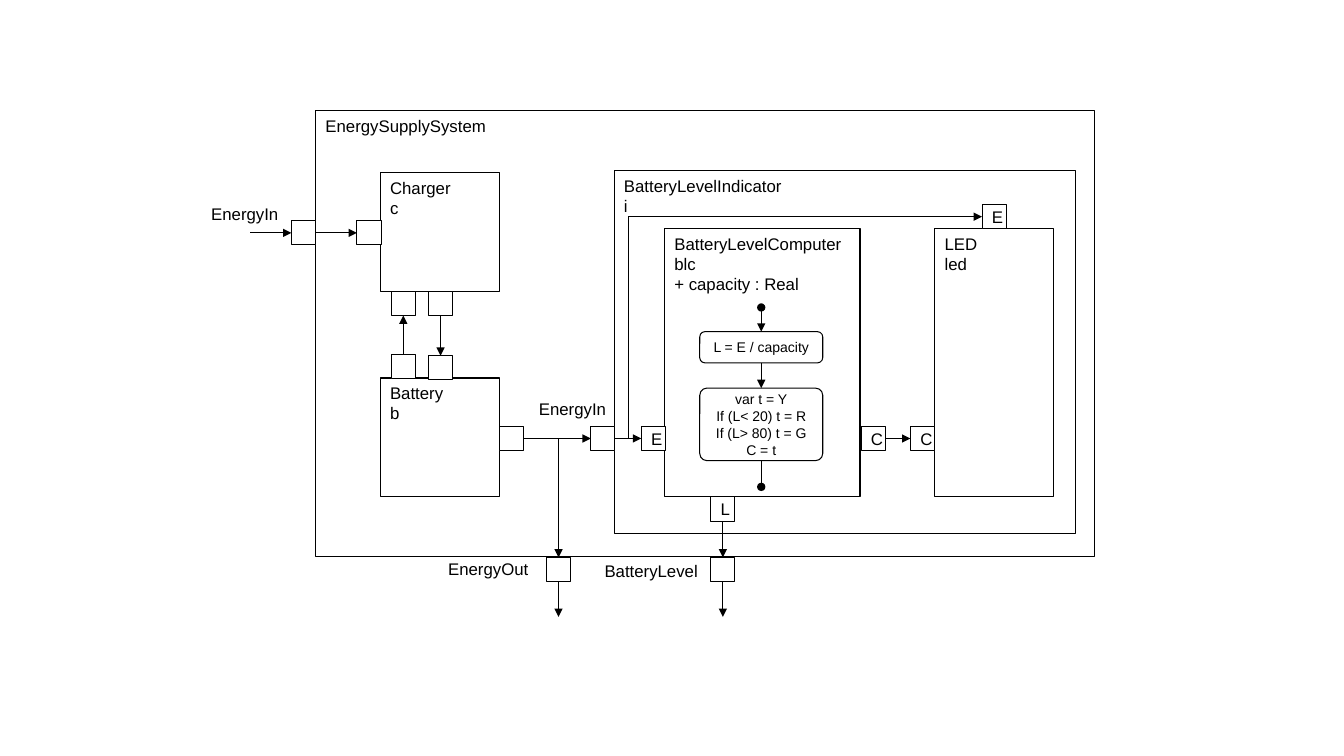
"""Build the component diagram of an energy supply system."""
from typing import NamedTuple, Union

from lxml.etree import SubElement
from pptx import Presentation
from pptx.dml.color import RGBColor
from pptx.enum.shapes import MSO_CONNECTOR as Connector, MSO_SHAPE as Preset
from pptx.enum.text import MSO_ANCHOR as Anchor, PP_ALIGN as Align
from pptx.oxml.ns import qn
from pptx.util import Emu, Pt

EMU_PER_PX = 9144
BLACK = RGBColor(0x00, 0x00, 0x00)
WHITE = RGBColor(0xFF, 0xFF, 0xFF)
FONT = "Arial"
LINE_WIDTH = Pt(0.75)
PORT_SIZE = 24
LABEL_WIDTH, LABEL_HEIGHT = 118, 30
TOP, LEFT, BOTTOM, RIGHT = range(4)


class Block(NamedTuple):
    """A component with its text at the top left."""
    left: int
    top: int
    width: int
    height: int
    text: str


class Action(NamedTuple):
    """A rounded step of the activity."""
    name: str
    top: int
    height: int
    rounding: float
    text: str


class Port(NamedTuple):
    """A small square port."""
    name: str
    left: int
    top: int
    text: str = ""


class Label(NamedTuple):
    """A right-aligned caption beside a port."""
    left: int
    top: int
    text: str


class Point(NamedTuple):
    """A free end of a link."""
    x: int
    y: int


class Site(NamedTuple):
    """The middle of one side of a named shape."""
    name: str
    side: int


class Link(NamedTuple):
    """A line between two ends."""
    start: Union[Point, Site]
    end: Union[Point, Site]
    head: str = "none"
    tail: str = "triangle"


BLOCKS = [
    Block(313, 110, 773, 442, "EnergySupplySystem"),
    Block(609, 169, 458, 360, "BatteryLevelIndicator\ni"),
    Block(659, 227, 194, 266, "BatteryLevelComputer\nblc\n+ capacity : Real"),
    Block(927, 227, 118, 266, "LED\nled"),
    Block(377, 375, 118, 118, "Battery\nb"),
    Block(377, 171, 118, 118, "Charger\nc"),
]
ACTION_LEFT, ACTION_WIDTH = 694, 122
ACTION_MIDDLE = ACTION_LEFT + ACTION_WIDTH // 2
ACTIONS = [
    Action("ratio", 329, 31, 0.17, "L = E / capacity"),
    Action("choice", 385, 72, 0.1,
           "var t = Y\nIf (L< 20) t = R\nIf (L> 80) t = G\nC = t"),
]
PORTS = [
    Port("system in", 289, 219),
    Port("charger in", 354, 219),
    Port("charger return", 388, 289),
    Port("charger out", 425, 289),
    Port("battery return", 388, 352),
    Port("battery in", 425, 353),
    Port("battery out", 495, 423),
    Port("indicator in", 586, 423),
    Port("computer energy", 636, 423, "E"),
    Port("computer colour", 854, 423, "C"),
    Port("computer level", 705, 493, "L"),
    Port("led colour", 903, 423, "C"),
    Port("led energy", 974, 203, "E"),
    Port("system out", 542, 553),
    Port("system level", 705, 553),
]
LABELS = [
    Label(168, 197, "EnergyIn"),
    Label(493, 391, "EnergyIn"),
    Label(416, 549, "EnergyOut"),
    Label(584, 551, "BatteryLevel"),
]
LINKS = [
    Link(Point(248, 231), Site("system in", LEFT)),
    Link(Site("system in", RIGHT), Site("charger in", LEFT)),
    Link(Site("battery return", TOP), Site("charger return", BOTTOM)),
    Link(Site("charger out", BOTTOM), Site("battery in", TOP)),
    Link(Site("battery out", RIGHT), Site("indicator in", LEFT)),
    Link(Site("indicator in", RIGHT), Site("computer energy", LEFT)),
    Link(Site("computer colour", RIGHT), Site("led colour", LEFT)),
    Link(Site("computer level", BOTTOM), Site("system level", TOP)),
    Link(Point(554, 435), Site("system out", TOP)),
    Link(Site("system out", BOTTOM), Point(554, 612)),
    Link(Site("system level", BOTTOM), Point(717, 612)),
    Link(Point(ACTION_MIDDLE, 305), Site("ratio", TOP), head="oval"),
    Link(Site("ratio", BOTTOM), Site("choice", TOP)),
    Link(Site("choice", BOTTOM), Point(ACTION_MIDDLE, 483), tail="oval"),
]
ENERGY_BRANCH = Link(Point(610, 435), Point(974, 215))
BRANCH_BEND = 3700


def px(length: int) -> Emu:
    """Turn px into EMU."""
    return Emu(length * EMU_PER_PX)


def write_text(shape, text: str, *, size: int = 12, align=Align.LEFT,
               anchor=Anchor.TOP, inset: int = 10) -> None:
    """Write the lines of a text into a shape as paragraphs."""
    frame = shape.text_frame
    frame.word_wrap = True
    frame.vertical_anchor = anchor
    frame.margin_left = frame.margin_right = px(inset)
    frame.margin_top = frame.margin_bottom = px(inset // 2)
    frame.text = text
    for paragraph in frame.paragraphs:
        paragraph.alignment = align
        paragraph.font.size = Pt(size)
        paragraph.font.name = FONT
        paragraph.font.color.rgb = BLACK


def draw_shape(slide, preset, left: int, top: int, width: int, height: int):
    """Draw a white shape with a thin black outline."""
    shape = slide.shapes.add_shape(preset, px(left), px(top), px(width), px(height))
    shape.shadow.inherit = False
    shape.fill.solid()
    shape.fill.fore_color.rgb = WHITE
    shape.line.color.rgb = BLACK
    shape.line.width = LINE_WIDTH
    return shape


def draw_link(slide, link: Link, shapes: dict, kind=Connector.STRAIGHT):
    """Draw a link and join its ends to their sites."""
    ends = []
    for end in (link.start, link.end):
        if isinstance(end, Site):
            ends += [shapes[end.name].left, shapes[end.name].top]
        else:
            ends += [px(end.x), px(end.y)]
    connector = slide.shapes.add_connector(kind, *ends)
    if isinstance(link.start, Site):
        connector.begin_connect(shapes[link.start.name], link.start.side)
    if isinstance(link.end, Site):
        connector.end_connect(shapes[link.end.name], link.end.side)
    connector.line.color.rgb = BLACK
    connector.line.width = LINE_WIDTH
    properties = connector.element.spPr
    line = properties.find(qn("a:ln"))
    SubElement(line, qn("a:headEnd"), type=link.head)
    SubElement(line, qn("a:tailEnd"), type=link.tail)
    SubElement(properties, qn("a:effectLst"))
    return connector


def main() -> None:
    """Build and save the slide."""
    presentation = Presentation()
    presentation.slide_width, presentation.slide_height = px(1333), px(750)
    slide = presentation.slides.add_slide(presentation.slide_layouts[6])
    shapes = {}
    for block in BLOCKS:
        write_text(draw_shape(slide, Preset.RECTANGLE, *block[:4]), block.text)
    for action in ACTIONS:
        shape = draw_shape(slide, Preset.ROUNDED_RECTANGLE, ACTION_LEFT,
                           action.top, ACTION_WIDTH, action.height)
        shape.adjustments[0] = action.rounding
        write_text(shape, action.text, size=10, align=Align.CENTER,
                   anchor=Anchor.MIDDLE, inset=0)
        shapes[action.name] = shape
    for port in PORTS:
        shape = draw_shape(slide, Preset.RECTANGLE, port.left, port.top,
                           PORT_SIZE, PORT_SIZE)
        if port.text:
            write_text(shape, port.text, align=Align.CENTER, anchor=Anchor.MIDDLE)
        shapes[port.name] = shape
    for label in LABELS:
        box = slide.shapes.add_textbox(px(label.left), px(label.top),
                                       px(LABEL_WIDTH), px(LABEL_HEIGHT))
        write_text(box, label.text, align=Align.RIGHT)
    for link in LINKS:
        draw_link(slide, link, shapes)
    branch = draw_link(slide, ENERGY_BRANCH, shapes, Connector.ELBOW)
    guides = branch.element.spPr.find(qn("a:prstGeom")).find(qn("a:avLst"))
    SubElement(guides, qn("a:gd"), name="adj1", fmla=f"val {BRANCH_BEND}")
    presentation.save("out.pptx")


if __name__ == "__main__":
    main()
